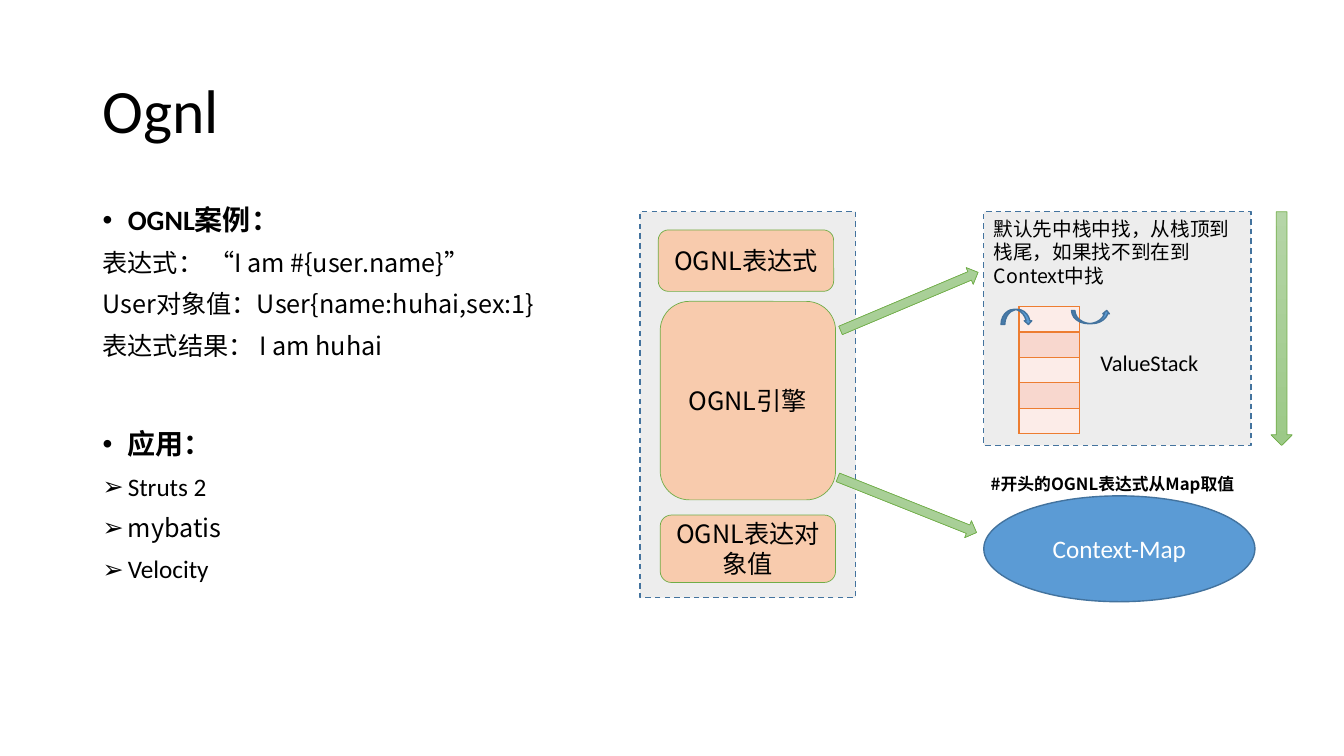
"""Build the Ognl slide: examples on the left, evaluation diagram on the right."""
from dataclasses import dataclass

from lxml import etree
from pptx import Presentation
from pptx import util as u
from pptx.dml.color import RGBColor
from pptx.enum import dml, shapes, text
from pptx.oxml import ns

LATIN, CJK = "Calibri", "Noto Sans CJK SC"
KIND = shapes.MSO_SHAPE
ALIGN, ANCHOR = text.PP_ALIGN, text.MSO_ANCHOR
BLACK, WHITE, GREY, PEACH = "000000", "FFFFFF", "EDEDED", "F8CBAD"
BLUE, NAVY, GREEN, ORANGE = "5B9BD5", "43739E", "70AD47", "ED7D31"
ARROW_GREENS = ("B5D5A7", "9CC987")
STACK_FILLS = ("FCECE8", "F8D7CE")


@dataclass
class Line:
    words: str
    size: float = 18
    font: str = CJK
    bold: bool = False
    color: str = BLACK
    bullet: str = ""
    before: float = 0
    spacing: float = 1.0


@dataclass
class Figure:
    kind: shapes.MSO_SHAPE
    place: tuple[float, float, float, float]
    fill: str | tuple[str, str]
    edge: str
    weight: float = 1
    dashed: bool = False
    angle: float = 0
    label: Line | None = None
    align: ALIGN = ALIGN.CENTER
    anchor: ANCHOR = ANCHOR.MIDDLE


def rgb(value: str) -> RGBColor:
    return RGBColor.from_string(value)


def apply(target: object, values: dict) -> None:
    for name, value in values.items():
        setattr(target, name, value)


def move(item: object, place: tuple[float, float, float, float]) -> None:
    apply(item, dict(zip(("left", "top", "width", "height"), map(u.Pt, place))))


def add(parent: etree._Element, tag: str, **attributes: str) -> etree._Element:
    return etree.SubElement(parent, ns.qn(tag), **attributes)


def write(frame: object, lines: list[Line], align: ALIGN = ALIGN.LEFT,
          anchor: ANCHOR = ANCHOR.TOP) -> None:
    apply(frame, {"word_wrap": True, "auto_size": text.MSO_AUTO_SIZE.NONE,
                  "vertical_anchor": anchor})
    for index, line in enumerate(lines):
        para = frame.add_paragraph() if index else frame.paragraphs[0]
        apply(para, {"alignment": align, "line_spacing": line.spacing,
                     "space_before": u.Pt(line.before)})
        if line.bullet:
            props = para._p.get_or_add_pPr()
            apply_indent = {"marL": u.Pt(18), "indent": -u.Pt(18)}
            for name, value in apply_indent.items():
                props.set(name, str(int(value)))
            add(props, "a:buFont", typeface="Arial")
            add(props, "a:buChar", char=line.bullet)
        span = para.add_run()
        span.text = line.words
        apply(span.font, {"size": u.Pt(line.size), "bold": line.bold, "name": line.font})
        span.font.color.rgb = rgb(line.color)
        add(span._r.get_or_add_rPr(), "a:ea", typeface=CJK)


def draw_text(page: object, place: tuple[float, float, float, float],
              lines: list[Line]) -> None:
    box = page.shapes.add_textbox(*map(u.Pt, place))
    write(box.text_frame, lines)


def draw_figure(page: object, figure: Figure) -> None:
    shape = page.shapes.add_shape(figure.kind, *map(u.Pt, figure.place))
    shape.shadow.inherit = False
    shape.rotation = figure.angle
    if isinstance(figure.fill, tuple):
        shape.fill.gradient()
        shape.fill.gradient_angle = 270
        for stop, color in zip(shape.fill.gradient_stops, figure.fill):
            stop.color.rgb = rgb(color)
    else:
        shape.fill.solid()
        shape.fill.fore_color.rgb = rgb(figure.fill)
    shape.line.color.rgb = rgb(figure.edge)
    shape.line.width = u.Pt(figure.weight)
    if figure.dashed:
        shape.line.dash_style = dml.MSO_LINE.DASH
    if figure.label:
        write(shape.text_frame, [figure.label], figure.align, figure.anchor)


def draw_stack(page: object, place: tuple[float, float, float, float], rows: int) -> None:
    table = page.shapes.add_table(rows, 1, *map(u.Pt, place)).table
    apply(table, {"first_row": False, "horz_banding": False})
    for index in range(rows):
        cell = table.cell(index, 0)
        apply(cell, dict.fromkeys(("margin_top", "margin_bottom"), 0))
        add(cell.text_frame.paragraphs[0]._p, "a:endParaRPr", sz="800")
        props = cell._tc.get_or_add_tcPr()
        for side in ("a:lnL", "a:lnR", "a:lnT", "a:lnB"):
            border = add(props, side, w=str(int(u.Pt(1))))
            add(add(border, "a:solidFill"), "a:srgbClr", val=ORANGE)
        cell.fill.solid()
        cell.fill.fore_color.rgb = rgb(STACK_FILLS[index % 2])


def part(place: tuple[float, float, float, float], words: str) -> Figure:
    return Figure(KIND.ROUNDED_RECTANGLE, place, PEACH, GREEN, 0.5, label=Line(words))


def arrow(kind: shapes.MSO_SHAPE, place: tuple[float, float, float, float],
          angle: float = 0) -> Figure:
    return Figure(kind, place, ARROW_GREENS, GREEN, 0.5, angle=angle)


def note(words: str, size: float = 18, font: str = CJK, bold: bool = False,
         bullet: str = "", before: float = 10) -> Line:
    return Line(words, size, font, bold, bullet=bullet, before=before, spacing=0.9)


NOTES = [
    note("OGNL案例：", 20, LATIN, True, "•"),
    note("表达式： “I am #{user.name}”"),
    note("User对象值：User{name:huhai,sex:1}"),
    note("表达式结果： I am huhai"),
    note("应用：", 20, LATIN, True, "•", before=50),
    note("Struts 2", font=LATIN, bullet="➢"),
    note("mybatis", bullet="➢"),
    note("Velocity", font=LATIN, bullet="➢"),
]
SEARCH_ORDER = Line("默认先中栈中找，从栈顶到栈尾，如果找不到在到Context中找", 14)
PANELS = [
    Figure(KIND.RECTANGLE, (457.2, 151.2, 154.1, 275.8), GREY, NAVY, dashed=True),
    part((470.2, 164.2, 125.3, 43.9), "OGNL表达式"),
    part((471.6, 367.9, 125.3, 48.2), "OGNL表达对象值"),
    part((471.6, 215.3, 125.3, 141.8), "OGNL引擎"),
    Figure(KIND.RECTANGLE, (702.7, 151.2, 190.8, 167), GREY, NAVY, dashed=True,
           label=SEARCH_ORDER, align=ALIGN.LEFT, anchor=ANCHOR.TOP),
]
FLOW = [
    arrow(KIND.DOWN_ARROW, (907.9, 151.2, 15.1, 167)),
    Figure(KIND.OVAL, (702.7, 354.2, 193.7, 75.6), BLUE, NAVY,
           label=Line("Context-Map", font=LATIN, color=WHITE)),
    arrow(KIND.RIGHT_ARROW, (596.2, 208.8, 106.6, 13), 337.1),
    arrow(KIND.RIGHT_ARROW, (594.7, 354.2, 106.6, 13), 21.7),
    Figure(KIND.CURVED_DOWN_ARROW, (715, 221, 22.3, 10.8), BLUE, NAVY),
    Figure(KIND.CURVED_UP_ARROW, (765.4, 221.8, 27.4, 9.4), BLUE, NAVY),
]


def main() -> None:
    deck = Presentation()
    apply(deck, {"slide_width": u.Pt(960), "slide_height": u.Pt(540)})
    page = deck.slides.add_slide(deck.slide_layouts[5])
    title = page.shapes.title
    move(title, (66.2, 28.8, 828, 104.4))
    write(title.text_frame, [Line("Ognl", 44, LATIN, spacing=0.9)], anchor=ANCHOR.MIDDLE)
    draw_text(page, (66.2, 144, 382.3, 342.7), NOTES)
    for figure in PANELS:
        draw_figure(page, figure)
    draw_stack(page, (727.9, 218.9, 43.2, 91), 5)
    for figure in FLOW:
        draw_figure(page, figure)
    draw_text(page, (700.6, 334.8, 204.5, 21.6),
              [Line("#开头的OGNL表达式从Map取值", 12, bold=True)])
    draw_text(page, (779, 245.5, 115.2, 26.6), [Line("ValueStack", 16, LATIN)])
    deck.save("out.pptx")


if __name__ == "__main__":
    main()
